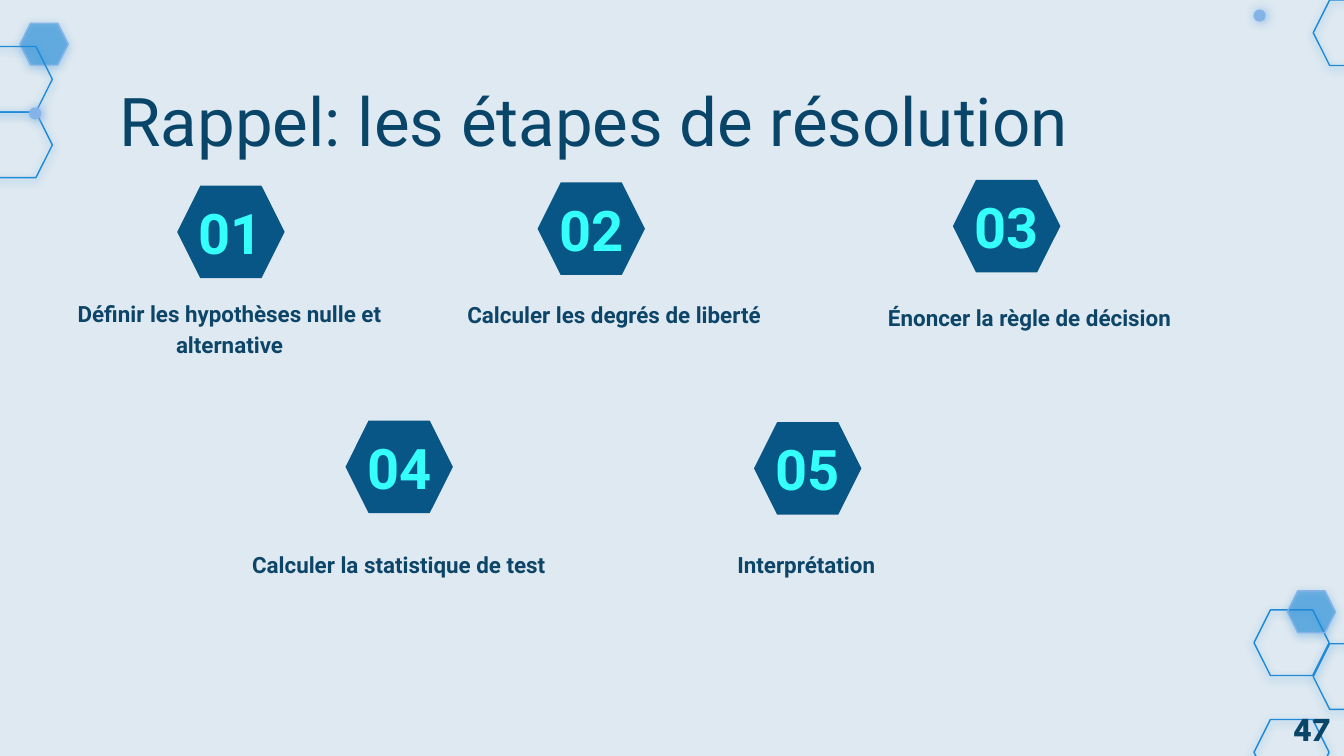
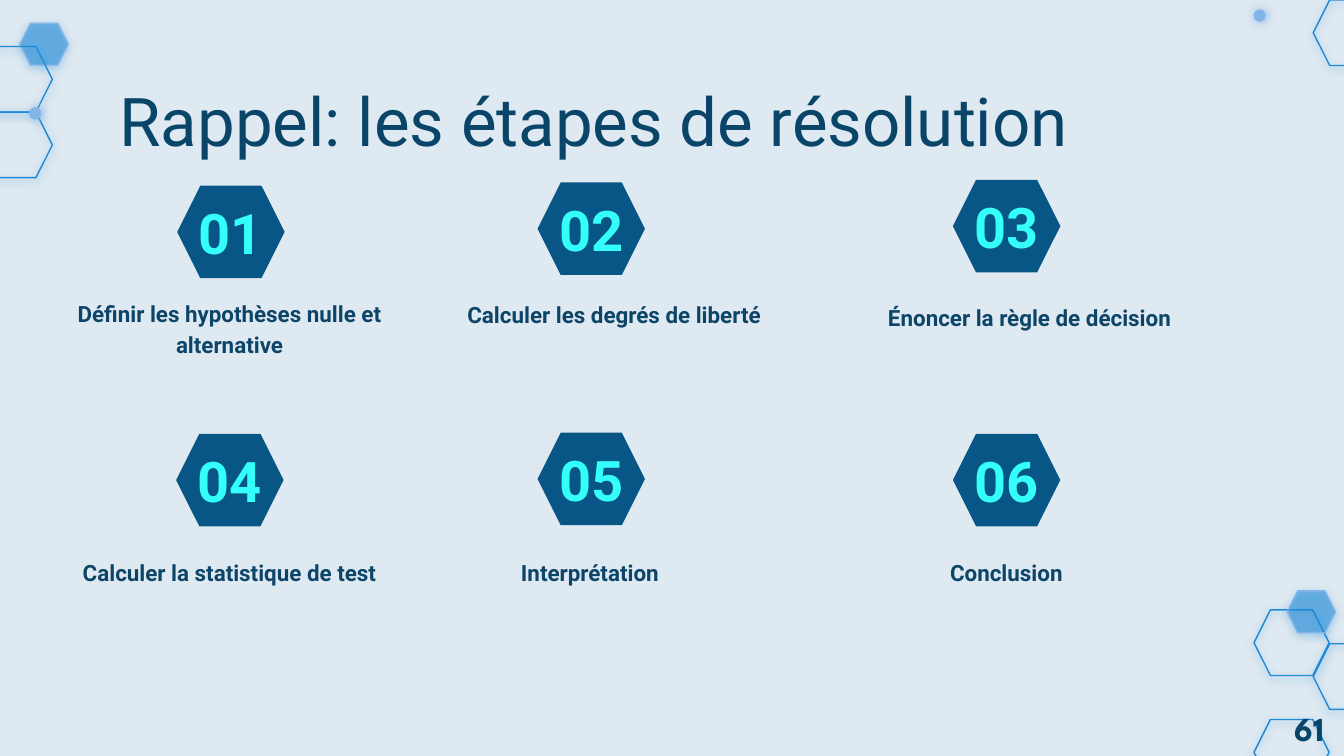
from dataclasses import dataclass
from typing import Optional

from lxml import etree
from pptx import Presentation
from pptx.dml.color import RGBColor
from pptx.enum import shapes, text
from pptx.oxml.ns import qn
from pptx.util import Cm, Pt

BACKGROUND = "DEE9F1"
NAVY = "084569"
LABEL_NAVY = "0D4568"
BADGE_BLUE = "085685"
CYAN = "35FFFB"
AZURE = "1F8AD7"
PALE_BLUE = "84B3E8"
BODY_FONT = "Roboto"
TITLE = "Rappel: les étapes de résolution"

BADGE_SIZE = (2.03, 1.75)
NUMBER_HEIGHT = 1.24
LABEL_SIZE = (6.4, 1.35)
INSET = 0.25


@dataclass(frozen=True)
class Shadow:
    color: str
    alpha: int
    blur: float
    distance: float
    angle: int


@dataclass(frozen=True)
class Ornament:
    """Look of one kind of background decoration."""
    preset: shapes.MSO_SHAPE
    width: float
    height: float
    shadow: Shadow
    fill: Optional[str] = None
    alpha: int = 100
    line: Optional[str] = None


@dataclass(frozen=True)
class Step:
    """One numbered step, with badge and label positions in cm."""
    label: str
    badge: tuple[float, float]
    label_at: tuple[float, float]


@dataclass(frozen=True)
class TextStyle:
    size: int
    color: str
    font: str = BODY_FONT
    bold: bool = True
    align: text.PP_ALIGN = text.PP_ALIGN.CENTER
    anchor: text.MSO_ANCHOR = text.MSO_ANCHOR.MIDDLE
    line_spacing: float = 1.0
    inset_y: float = INSET


HEX_SHADOW = Shadow(AZURE, 50, 4.5, 1.5, 90)
DOT_SHADOW = Shadow(PALE_BLUE, 100, 5.6, 0.8, 11)
SOLID_HEX = Ornament(shapes.MSO_SHAPE.HEXAGON, 0.91, 0.79, HEX_SHADOW, AZURE, 53, PALE_BLUE)
OPEN_HEX = Ornament(shapes.MSO_SHAPE.HEXAGON, 1.42, 1.24, HEX_SHADOW, line=AZURE)
DOT = Ornament(shapes.MSO_SHAPE.OVAL, 0.23, 0.23, DOT_SHADOW, PALE_BLUE)

ORNAMENTS = [
    (SOLID_HEX, [(0.38, 0.44)]),
    (OPEN_HEX, [(-0.43, 0.88), (-0.43, 2.12), (24.82, 0),
                (24.82, 12.17), (23.7, 11.53), (23.7, 13.6)]),
    (SOLID_HEX, [(24.33, 11.17)]),
    (DOT, [(0.55, 2.03), (23.69, 0.18)]),
]

TITLE_STYLE = TextStyle(36, NAVY, bold=False, align=text.PP_ALIGN.LEFT,
                        anchor=text.MSO_ANCHOR.TOP)
NUMBER_STYLE = TextStyle(30, CYAN)
LABEL_STYLE = TextStyle(12, LABEL_NAVY, anchor=text.MSO_ANCHOR.BOTTOM, line_spacing=1.15)
PAGE_STYLE = TextStyle(18, NAVY, "League Spartan", align=text.PP_ALIGN.LEFT,
                       anchor=text.MSO_ANCHOR.TOP, inset_y=0.13)

FIRST_STEPS = [
    Step("Définir les hypothèses nulle et alternative", (3.35, 3.51), (1.14, 5.66)),
    Step("Calculer les degrés de liberté", (10.16, 3.45), (8.41, 5.11)),
    Step("Énoncer la règle de décision", (18.01, 3.4), (16.26, 5.16)),
]
STATISTIC = "Calculer la statistique de test"
INTERPRETATION = "Interprétation"
LAST_STEPS = {
    47: [Step(STATISTIC, (6.53, 7.95), (4.34, 9.83)),
         Step(INTERPRETATION, (14.25, 7.98), (12.04, 9.83))],
    61: [Step(STATISTIC, (3.33, 8.2), (1.14, 9.98)),
         Step(INTERPRETATION, (10.16, 8.18), (7.95, 9.98)),
         Step("Conclusion", (18.01, 8.2), (15.82, 9.98))],
}


def rgb(color: str) -> RGBColor:
    return RGBColor.from_string(color)


def add_alpha(color_element, percent: int) -> None:
    etree.SubElement(color_element, qn("a:alpha"), val=str(percent * 1000))


def add_shadow(shape, shadow: Shadow) -> None:
    effects = shape._element.spPr.find(qn("a:effectLst"))
    outer = etree.SubElement(
        effects, qn("a:outerShdw"), blurRad=str(Pt(shadow.blur)),
        dist=str(Pt(shadow.distance)), dir=str(shadow.angle * 60000),
        algn="bl", rotWithShape="0")
    add_alpha(etree.SubElement(outer, qn("a:srgbClr"), val=shadow.color), shadow.alpha)


def add_plain_shape(slide, preset, at, size, fill: Optional[str], line: Optional[str] = None):
    shape = slide.shapes.add_shape(preset, *map(Cm, (*at, *size)))
    shape.shadow.inherit = False
    if fill:
        shape.fill.solid()
        shape.fill.fore_color.rgb = rgb(fill)
    else:
        shape.fill.background()
    if line:
        shape.line.color.rgb = rgb(line)
        shape.line.width = Pt(0.75)
    else:
        shape.line.fill.background()
    return shape


def add_ornament(slide, ornament: Ornament, at) -> None:
    shape = add_plain_shape(slide, ornament.preset, at, (ornament.width, ornament.height),
                            ornament.fill, ornament.line)
    if ornament.alpha < 100:
        add_alpha(shape._element.spPr.find(qn("a:solidFill"))[0], ornament.alpha)
    add_shadow(shape, ornament.shadow)


def write(shape, words: str, style: TextStyle) -> None:
    frame = shape.text_frame
    frame.text = words
    frame.word_wrap = True
    frame.auto_size = text.MSO_AUTO_SIZE.NONE
    frame.vertical_anchor = style.anchor
    frame.margin_left = frame.margin_right = Cm(INSET)
    frame.margin_top = frame.margin_bottom = Cm(style.inset_y)
    paragraph = frame.paragraphs[0]
    paragraph.alignment = style.align
    paragraph.line_spacing = style.line_spacing
    font = paragraph.font
    font.name, font.size, font.bold = style.font, Pt(style.size), style.bold
    font.color.rgb = rgb(style.color)


def add_text(slide, words: str, at, size, style: TextStyle) -> None:
    write(slide.shapes.add_textbox(*map(Cm, (*at, *size))), words, style)


def add_step(slide, number: int, step: Step) -> None:
    left, top = step.badge
    add_plain_shape(slide, shapes.MSO_SHAPE.HEXAGON, step.badge, BADGE_SIZE, BADGE_BLUE)
    number_top = top + (BADGE_SIZE[1] - NUMBER_HEIGHT) / 2
    add_text(slide, f"{number:02}", (left, number_top),
             (BADGE_SIZE[0], NUMBER_HEIGHT), NUMBER_STYLE)
    add_text(slide, step.label, step.label_at, LABEL_SIZE, LABEL_STYLE)


def add_steps_slide(prs, page: int, steps: list[Step]) -> None:
    slide = prs.slides.add_slide(prs.slide_layouts[5])
    for ornament, places in ORNAMENTS:
        for at in places:
            add_ornament(slide, ornament, at)
    title = slide.shapes.title
    title.left, title.top, title.width, title.height = map(Cm, (2.01, 1.24, 21.41, 1.6))
    write(title, TITLE, TITLE_STYLE)
    for number, step in enumerate(steps, start=1):
        add_step(slide, number, step)
    add_text(slide, str(page), (24.21, 13.26), (1.6, 1.02), PAGE_STYLE)


def main() -> None:
    prs = Presentation()
    prs.slide_width, prs.slide_height = Cm(25.4), Cm(14.29)
    backdrop = prs.slide_master.background.fill
    backdrop.solid()
    backdrop.fore_color.rgb = rgb(BACKGROUND)
    for page, last_steps in LAST_STEPS.items():
        add_steps_slide(prs, page, FIRST_STEPS + last_steps)
    prs.save("out.pptx")


if __name__ == "__main__":
    main()
